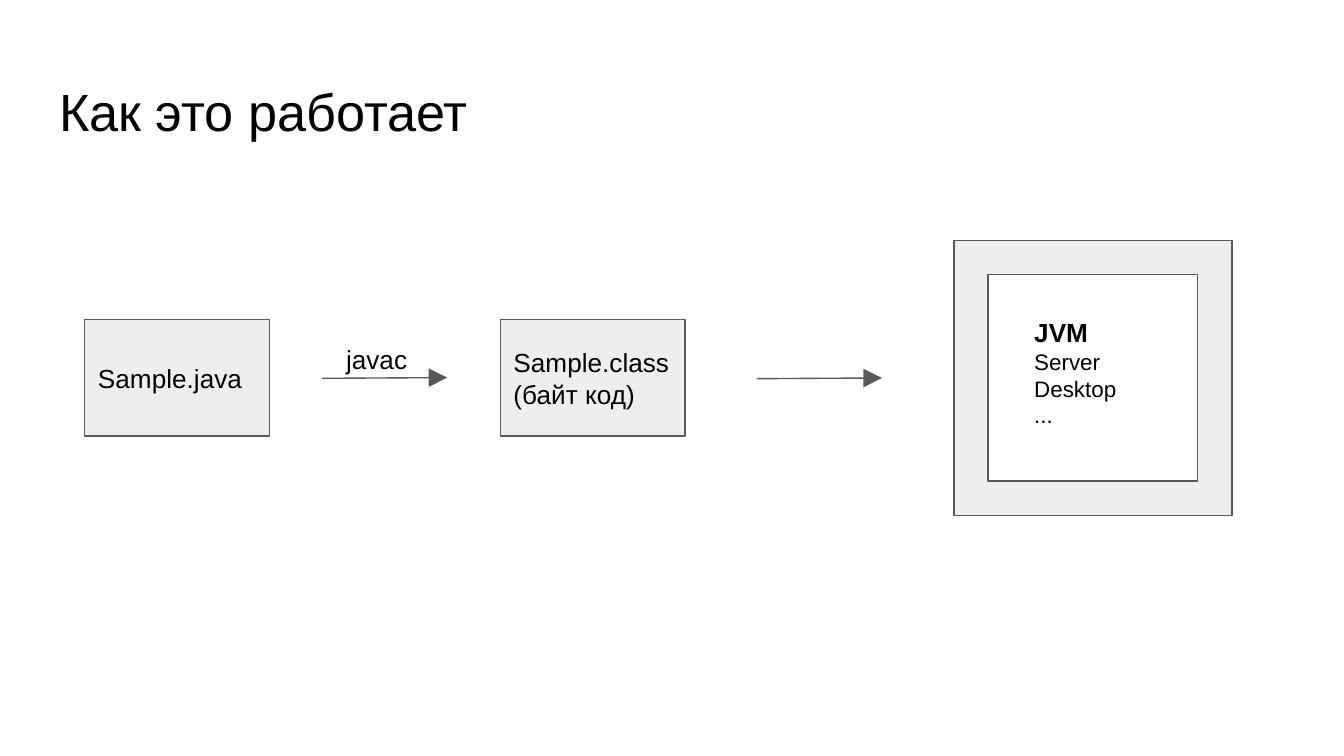
from dataclasses import dataclass

import pptx
import pptx.dml.color
import pptx.enum.shapes
import pptx.enum.text
import pptx.oxml
import pptx.oxml.ns
import pptx.util

Pt = pptx.util.Pt
SHAPE = pptx.enum.shapes.MSO_SHAPE
ANCHOR = pptx.enum.text.MSO_ANCHOR
COLORS = {"text": "000000", "fill": "EEEEEE", "line": "595959"}
FONT = "Arial"


@dataclass
class Line:
    text: str
    size: float = 14
    bold: bool = False


@dataclass
class Box:
    left: float
    top: float
    width: float
    height: float
    lines: tuple[Line, ...] = ()


@dataclass
class Arrow:
    left: float
    start: float
    end: float
    width: float = 67


def rgb(name: str):
    return pptx.dml.color.RGBColor.from_string(COLORS[name])


def write(shape, lines: tuple[Line, ...], anchor=ANCHOR.TOP) -> None:
    frame = shape.text_frame
    frame.word_wrap = True
    frame.auto_size = pptx.enum.text.MSO_AUTO_SIZE.NONE
    frame.vertical_anchor = anchor
    frame.margin_left = frame.margin_right = Pt(7.2)
    frame.margin_top = frame.margin_bottom = Pt(7.2)
    for i, line in enumerate(lines):
        para = frame.add_paragraph() if i else frame.paragraphs[0]
        para.alignment = pptx.enum.text.PP_ALIGN.LEFT
        run = para.add_run()
        run.text = line.text
        run.font.name = FONT
        run.font.size = Pt(line.size)
        run.font.bold = line.bold
        run.font.color.rgb = rgb("text")


def outline(shape) -> None:
    shape.line.color.rgb = rgb("line")
    shape.line.width = Pt(0.75)


def draw_box(slide, box: Box, kind=SHAPE.RECTANGLE):
    shape = slide.shapes.add_shape(
        kind, Pt(box.left), Pt(box.top), Pt(box.width), Pt(box.height))
    shape.shadow.inherit = False
    shape.fill.solid()
    shape.fill.fore_color.rgb = rgb("fill")
    outline(shape)
    write(shape, box.lines, ANCHOR.MIDDLE)
    return shape


def draw_text(slide, box: Box) -> None:
    shape = slide.shapes.add_textbox(
        Pt(box.left), Pt(box.top), Pt(box.width), Pt(box.height))
    write(shape, box.lines)


def draw_arrow(slide, arrow: Arrow) -> None:
    line = slide.shapes.add_connector(
        pptx.enum.shapes.MSO_CONNECTOR.STRAIGHT,
        Pt(arrow.left), Pt(arrow.start),
        Pt(arrow.left + arrow.width), Pt(arrow.end))
    outline(line)
    tip = pptx.oxml.parse_xml(
        f'<a:tailEnd {pptx.oxml.ns.nsdecls("a")} type="triangle" w="lg" len="lg"/>')
    line.line._get_or_add_ln().append(tip)
    line._element.spPr.append(
        pptx.oxml.parse_xml(f'<a:effectLst {pptx.oxml.ns.nsdecls("a")}/>'))


def main() -> None:
    deck = pptx.Presentation()
    deck.slide_width, deck.slide_height = Pt(720), Pt(405)
    slide = deck.slides.add_slide(deck.slide_layouts[5])

    # Title
    title = slide.shapes.title
    title.left, title.top = Pt(24.5), Pt(35)
    title.width, title.height = Pt(671), Pt(45)
    write(title, (Line("Как это работает", 28),))

    # Source file and compiled file
    steps = (
        (45.4, (Line("Sample.java"),)),
        (268, (Line("Sample.class"), Line("(байт код)"))),
    )
    for left, lines in steps:
        draw_box(slide, Box(left, 171.3, 99, 62.4, lines))

    # Arrows and the compiler label
    for arrow in (Arrow(172.6, 202.7, 202.3), Arrow(405.5, 202.9, 202.5)):
        draw_arrow(slide, arrow)
    draw_text(slide, Box(178.3, 177, 48.5, 37.5, (Line("javac"),)))

    # Virtual machine and its platforms
    frame = draw_box(slide, Box(511, 128.8, 149, 147.3), SHAPE.FRAME)
    frame.adjustments[0] = 0.125
    hosts = tuple(Line(name, 12) for name in ("Server", "Desktop", "..."))
    draw_text(slide, Box(547, 162.3, 78, 85, (Line("JVM", bold=True), *hosts)))

    deck.save("out.pptx")


if __name__ == "__main__":
    main()
